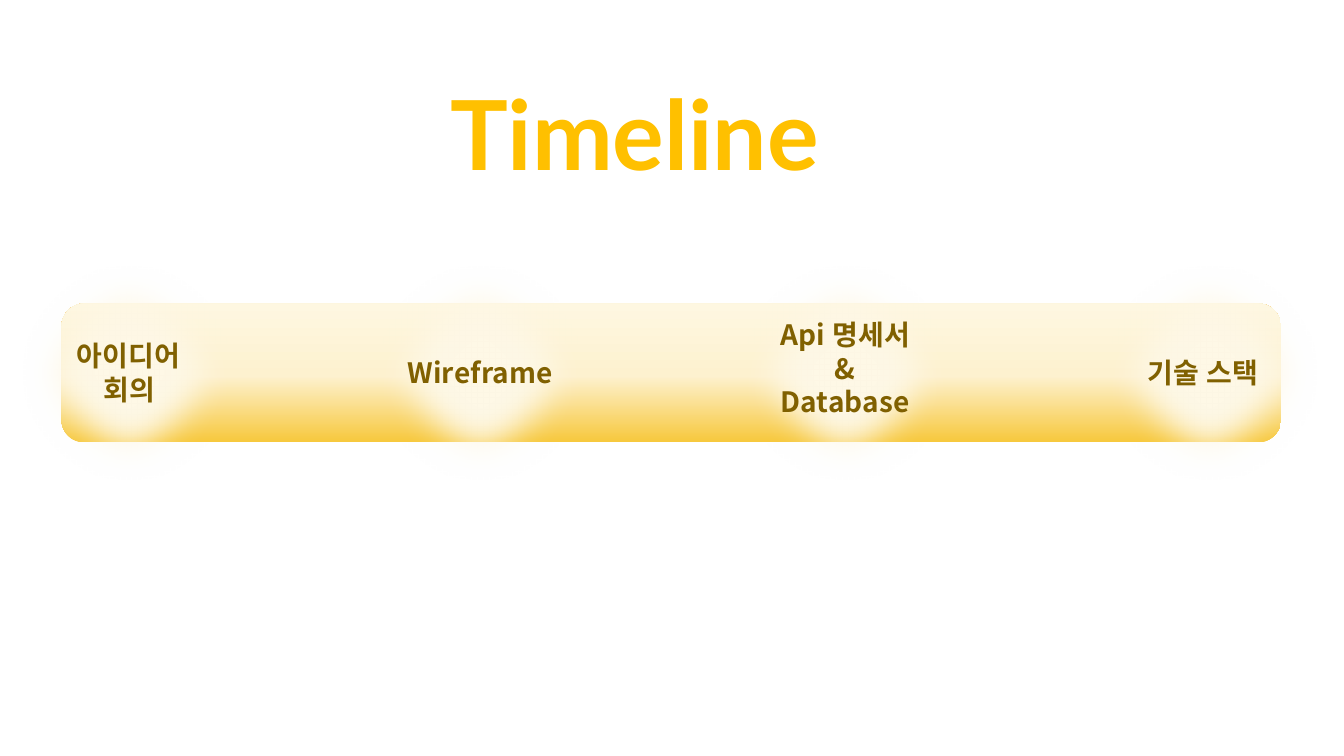
import pptx
import pptx.util
import pptx.dml.color
import pptx.enum.shapes
import pptx.enum.text
import pptx.oxml
import pptx.oxml.ns

Inches, Pt = pptx.util.Inches, pptx.util.Pt
RGB = pptx.dml.color.RGBColor.from_string
SHAPES = pptx.enum.shapes.MSO_SHAPE
NS = pptx.oxml.ns.nsdecls("a")

COLORS = {
    "title": "FFC000",
    "label": "806000",
    "circle": "FEF8E6",
    "outline": "FFFFFF",
}
BAR_STOPS = [(0, "F7C83C"), (48, "FDF1CF"), (100, "FEF7E1")]

# circle left, label left, label top, label height, label lines
STAGES = [
    (0.32, 1.01, 6.63, 1.53, "아이디어 회의"),
    (7.29, 7.98, 6.97, 0.86, "Wireframe"),
    (14.53, 15.22, 6.21, 2.2, "Api 명세서\n&\nDatabase"),
    (21.76, 22.32, 6.97, 0.86, "기술 스택"),
]


def add_text(left, top, width, height, text, font, size, color):
    """Add a bold, wrapping text box and return its text frame."""
    box = slide.shapes.add_textbox(Inches(left), Inches(top), Inches(width), Inches(height))
    frame = box.text_frame
    frame.word_wrap = True
    frame.margin_left = frame.margin_right = Inches(0.09)
    frame.margin_top = frame.margin_bottom = Inches(0.09)
    frame.text = text
    for paragraph in frame.paragraphs:
        for run in paragraph.runs:
            run.font.name = font
            run.font.size = Pt(size)
            run.font.bold = True
            run.font.color.rgb = RGB(color)
            run.font._element.append(
                pptx.oxml.parse_xml(f'<a:ea {NS} typeface="{font}"/>'))
    return frame


deck = pptx.Presentation()
deck.slide_width, deck.slide_height = Inches(26.67), Inches(15)
slide = deck.slides.add_slide(deck.slide_layouts[6])

bar = slide.shapes.add_shape(
    SHAPES.ROUNDED_RECTANGLE, Inches(1.22), Inches(6.02), Inches(24.2), Inches(2.76))
bar.shadow.inherit = False
bar.line.fill.background()
bar.fill.gradient()
bar.fill.gradient_angle = 90
stop_list = bar._element.spPr.find(".//" + pptx.oxml.ns.qn("a:gsLst"))
for old_stop in list(stop_list):
    stop_list.remove(old_stop)
for percent, color in BAR_STOPS:
    stop_list.append(pptx.oxml.parse_xml(
        f'<a:gs {NS} pos="{percent * 1000}"><a:srgbClr val="{color}"/></a:gs>'))

for circle_left, *_ in STAGES:
    circle = slide.shapes.add_shape(
        SHAPES.OVAL, Inches(circle_left), Inches(5.13), Inches(4.48), Inches(4.53))
    circle.shadow.inherit = False
    circle.fill.solid()
    circle.fill.fore_color.rgb = RGB(COLORS["circle"])
    circle.line.color.rgb = RGB(COLORS["outline"])
    circle.line.width = Pt(3)
    effects = circle._element.spPr.find(pptx.oxml.ns.qn("a:effectLst"))
    effects.append(pptx.oxml.parse_xml(f'<a:softEdge {NS} rad="{Pt(50)}"/>'))

title = add_text(8.84, 1.63, 8.2, 2.81, "Timeline", "Lato", 138, COLORS["title"])
title.paragraphs[0].line_spacing = 0.9

for _, left, top, height, text in STAGES:
    label = add_text(left, top, 3.1, height, text, "Noto Sans CJK KR", 40, COLORS["label"])
    label.auto_size = pptx.enum.text.MSO_AUTO_SIZE.SHAPE_TO_FIT_TEXT
    for paragraph in label.paragraphs:
        paragraph.alignment = pptx.enum.text.PP_ALIGN.CENTER
        for run in paragraph.runs:
            run.font._element.set("spc", "40")

deck.save("out.pptx")
